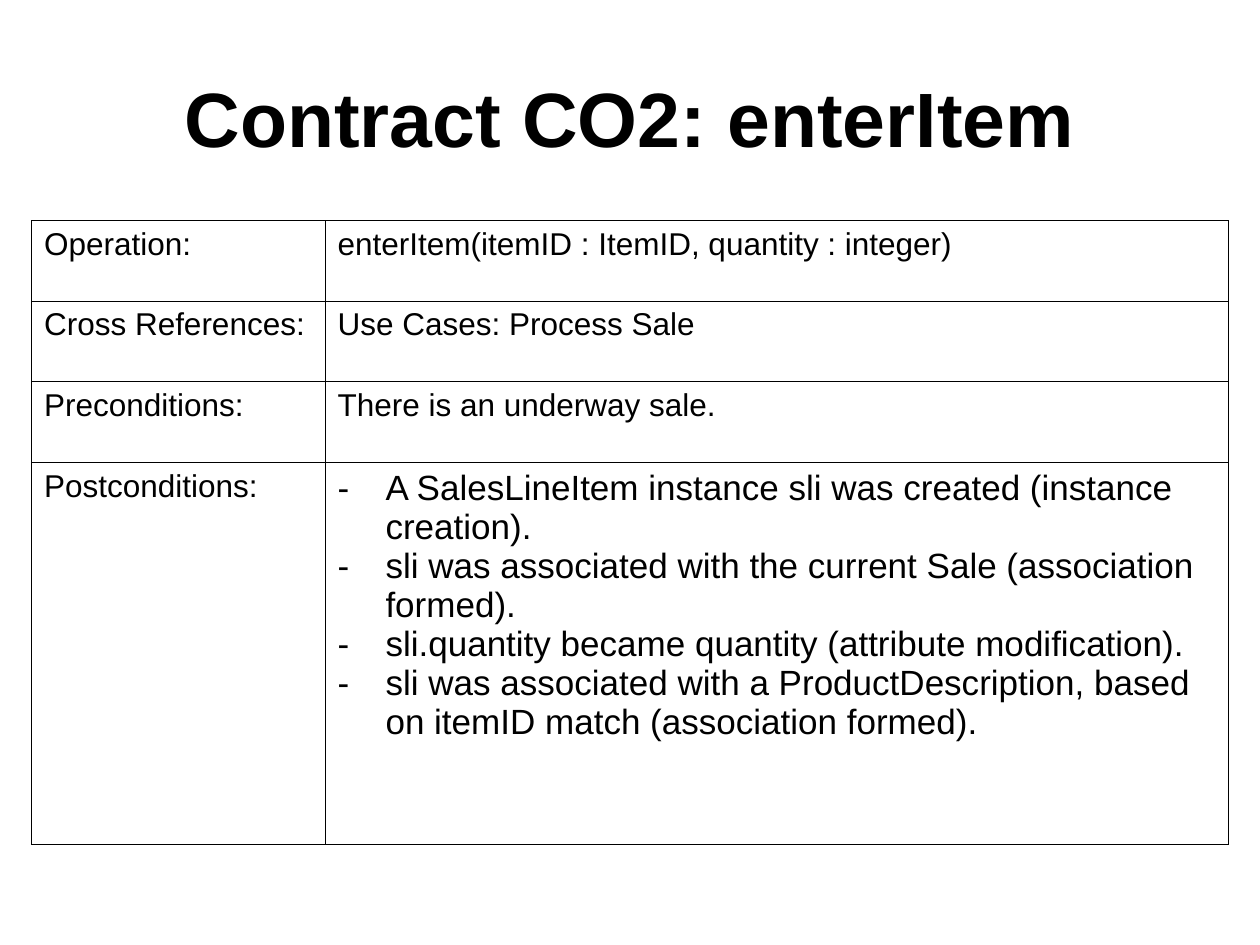
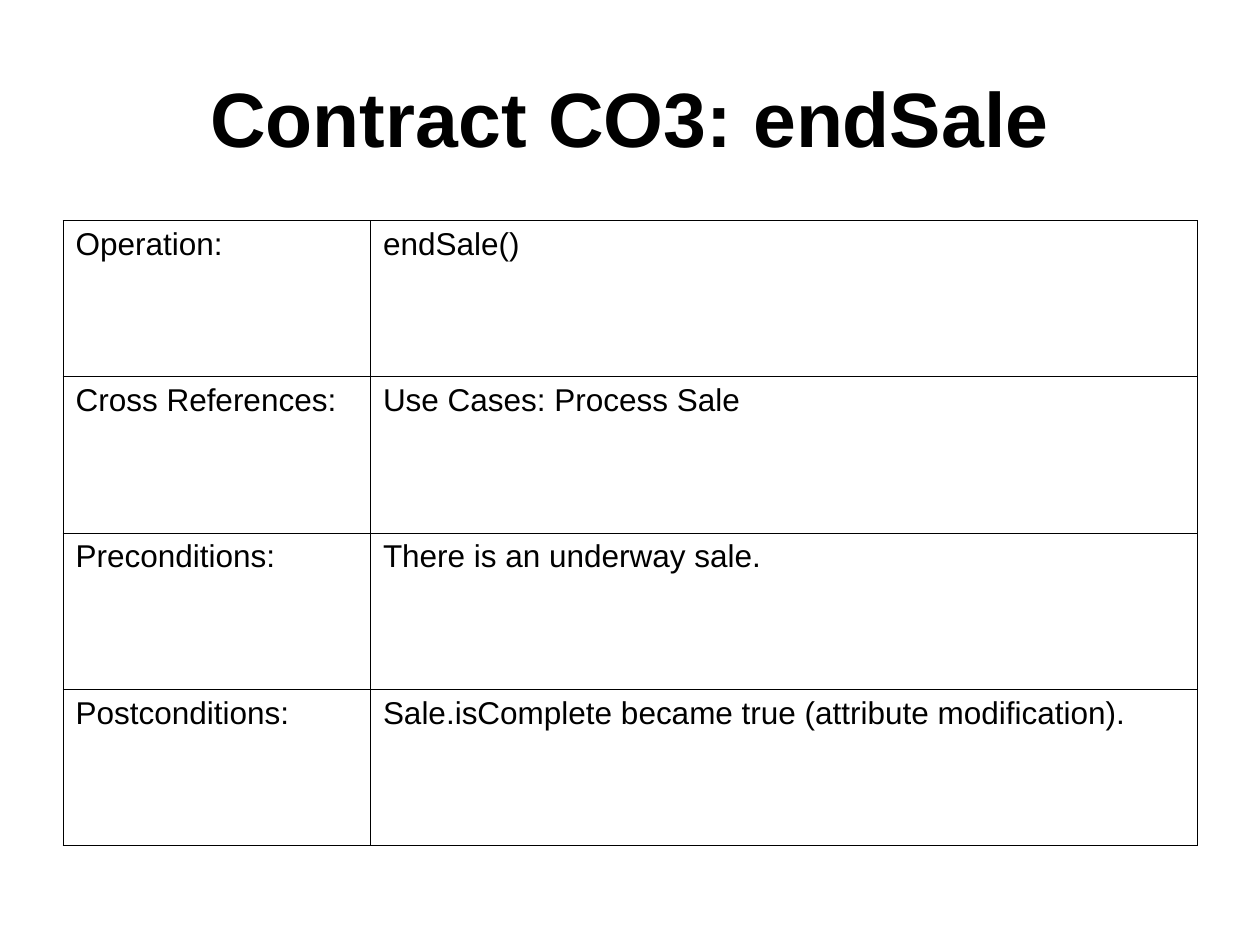
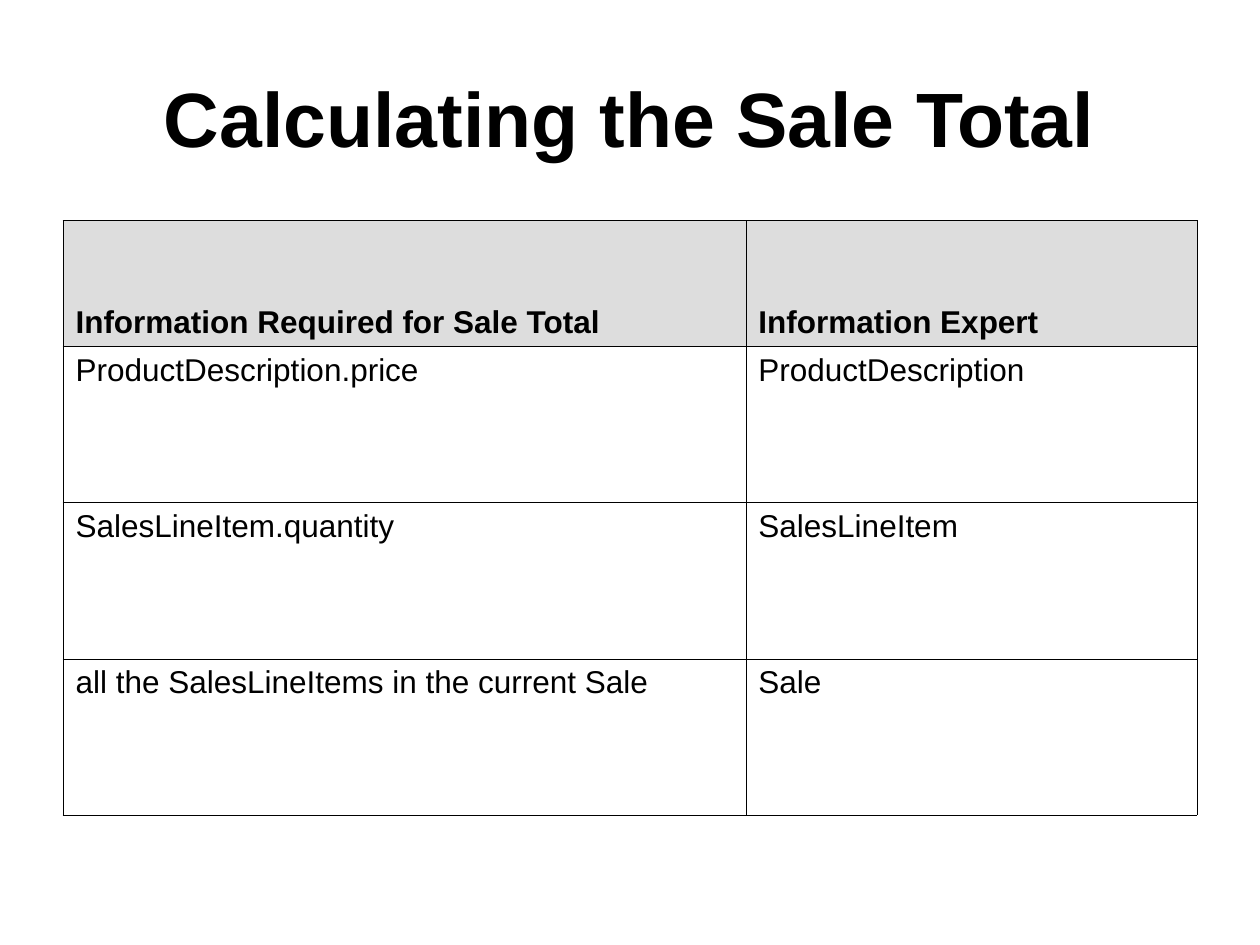
from pptx import Presentation
from pptx.dml.color import RGBColor
from pptx.enum.text import MSO_ANCHOR as Anchor, PP_ALIGN as Align
from pptx.oxml.ns import qn
from pptx.util import Emu, Pt
from lxml.etree import SubElement as Sub

BLACK = RGBColor(0x00, 0x00, 0x00)
GREY = RGBColor(0xDD, 0xDD, 0xDD)
FONT = "Arial"
EDGE = Pt(0.45)
INDENT = 38
TOP = 175


def px(n):
    """Turn px, 100 to the inch, into EMU."""
    return Emu(n * 9144)


def write(frame, text, size=18, bold=False, align=Align.LEFT, hang=0, mark=None):
    """Fill a text frame, one paragraph for each line of text."""
    frame.word_wrap = True
    for i, line in enumerate(text.split("\n")):
        para = frame.add_paragraph() if i else frame.paragraphs[0]
        para.alignment = align
        props = para._p.get_or_add_pPr()
        if hang:
            props.set("marL", str(px(hang)))
            props.set("indent", str(-px(hang)))
        if mark:
            tint = Sub(props, qn("a:buClr"))
            Sub(tint, qn("a:srgbClr"), val=str(BLACK))
            Sub(props, qn("a:buFont"), typeface=FONT)
            Sub(props, qn("a:buChar"), char=mark)
        run = para.add_run()
        run.text = line
        font = run.font
        font.name, font.size, font.bold = FONT, Pt(size), bold
        font.color.rgb = BLACK


def add_page(deck, title):
    """Add a slide with the shared title style."""
    page = deck.slides.add_slide(deck.slide_layouts[5])
    head = page.shapes.title
    head.left, head.top, head.width, head.height = map(px, (50, 30, 900, 125))
    frame = head.text_frame
    frame.vertical_anchor = Anchor.MIDDLE
    write(frame, title, size=44, bold=True, align=Align.CENTER)
    return page


def add_edges(cell):
    """Draw a thin black line on each side of a cell."""
    props = cell._tc.get_or_add_tcPr()
    for side in ("lnL", "lnR", "lnT", "lnB"):
        line = Sub(props, qn("a:" + side), w=str(EDGE))
        fill = Sub(line, qn("a:solidFill"))
        Sub(fill, qn("a:srgbClr"), val=str(BLACK))


def add_grid(page, left, cols, rows, texts, head=False):
    """Add a ruled table; a tuple in texts is a dashed list."""
    shape = page.shapes.add_table(len(rows), len(cols), px(left), px(TOP),
                                  px(sum(cols)), px(sum(rows)))
    grid = shape.table
    grid.first_row = grid.horz_banding = False
    for col, width in zip(grid.columns, cols):
        col.width = px(width)
    for r, (row, height) in enumerate(zip(grid.rows, rows)):
        row.height = px(height)
        top = head and r == 0
        for cell, text in zip(row.cells, texts[r]):
            add_edges(cell)
            if top:
                cell.fill.solid()
                cell.fill.fore_color.rgb = GREY
                cell.vertical_anchor = Anchor.BOTTOM
            else:
                cell.fill.background()
            if isinstance(text, tuple):
                write(cell.text_frame, "\n".join(text), size=20, hang=INDENT, mark="-")
            else:
                write(cell.text_frame, text, bold=top, hang=INDENT)


def add_deal(deck, title, left, cols, rows, call, post):
    """Add a slide with an operation contract."""
    texts = [
        ("Operation:", call),
        ("Cross References:", "Use Cases: Process Sale"),
        ("Preconditions:", "There is an underway sale."),
        ("Postconditions:", post),
    ]
    add_grid(add_page(deck, title), left, cols, rows, texts)


def main():
    deck = Presentation()
    deck.slide_width, deck.slide_height = px(1000), px(750)

    # Contracts
    add_deal(deck, "Contract CO2: enterItem", 25, (233, 717), (64, 64, 64, 303),
             "enterItem(itemID : ItemID, quantity : integer)",
             ("A SalesLineItem instance sli was created (instance creation).",
              "sli was associated with the current Sale (association formed).",
              "sli.quantity became quantity (attribute modification).",
              "sli was associated with a ProductDescription, based on itemID match "
              "(association formed)."))
    add_deal(deck, "Contract CO3: endSale", 50, (244, 656), (124,) * 4,
             "endSale()", "Sale.isComplete became true (attribute modification).")

    # Information experts
    page = add_page(deck, "Calculating the Sale Total")
    texts = [
        ("Information Required for Sale Total", "Information Expert"),
        ("ProductDescription.price", "ProductDescription"),
        ("SalesLineItem.quantity", "SalesLineItem"),
        ("all the SalesLineItems in the current Sale", "Sale"),
    ]
    add_grid(page, 50, (542, 358), (100, 124, 124, 124), texts, head=True)

    deck.save("out.pptx")


if __name__ == "__main__":
    main()
